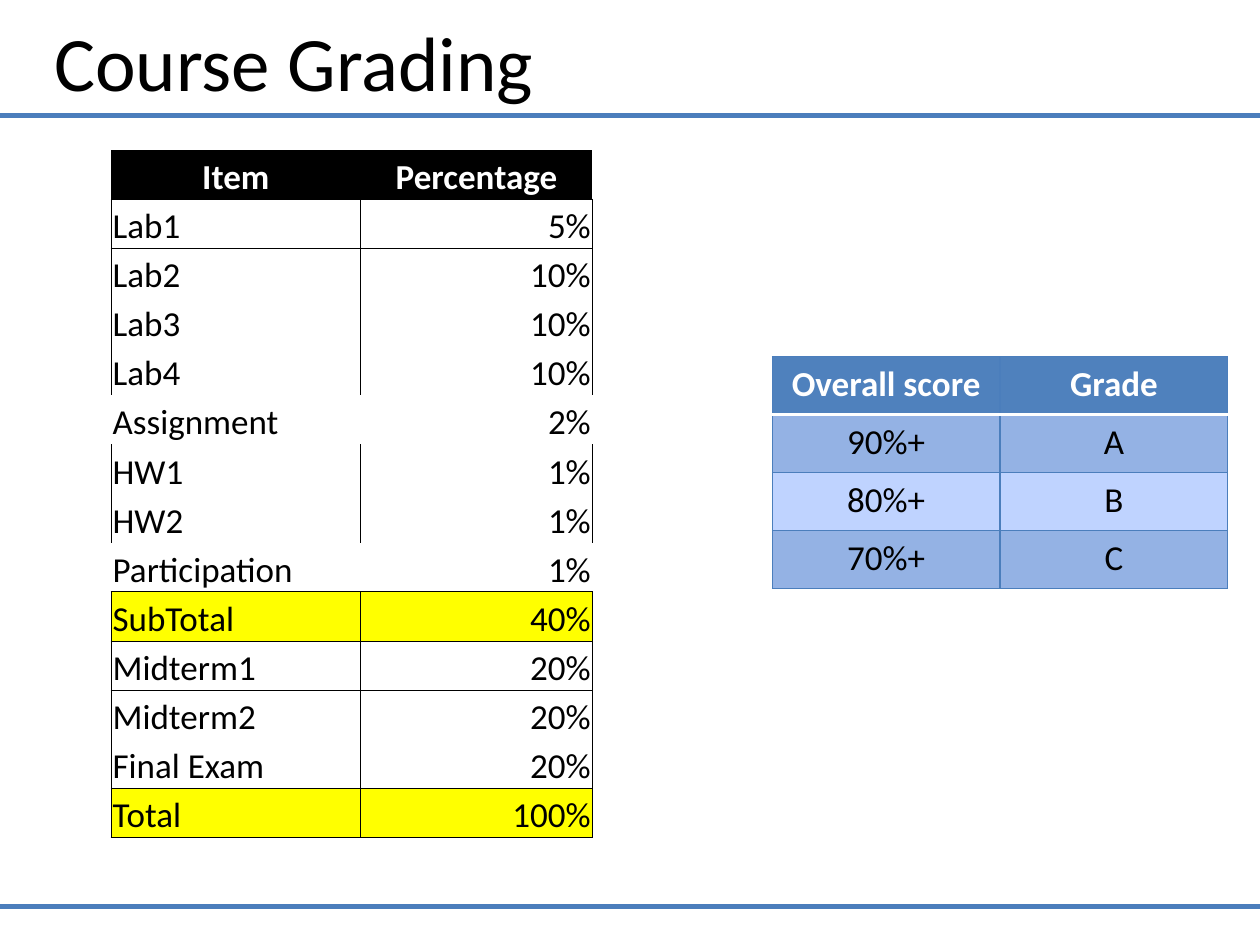
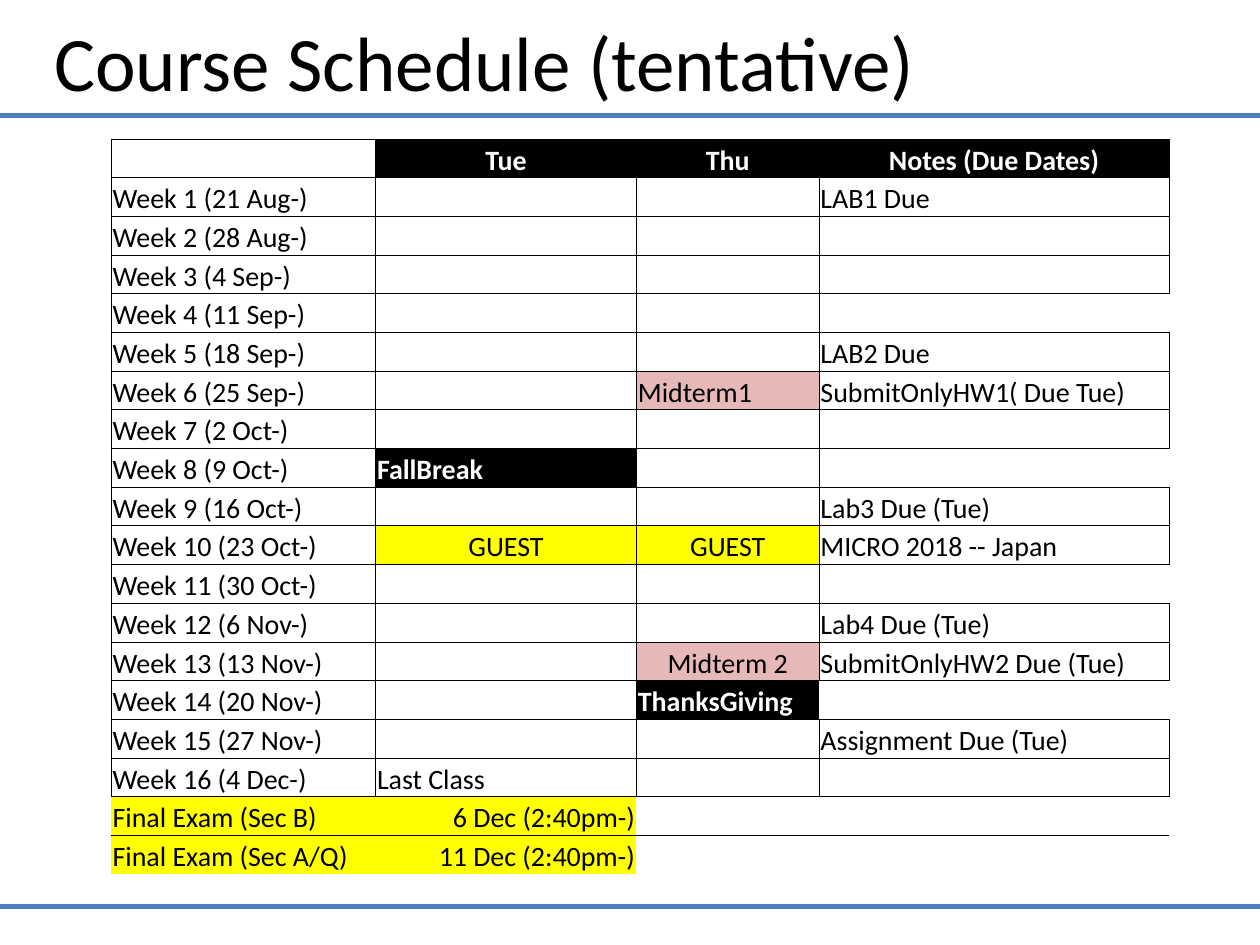
from dataclasses import dataclass

from lxml import etree
from pptx import Presentation
from pptx.dml.color import RGBColor
from pptx.enum.shapes import MSO_CONNECTOR
from pptx.enum.text import MSO_ANCHOR, PP_ALIGN
from pptx.oxml.ns import qn
from pptx.util import Cm, Pt

LEFT, MID, RIGHT = PP_ALIGN.LEFT, PP_ALIGN.CENTER, PP_ALIGN.RIGHT
LOW, CENTRE = MSO_ANCHOR.BOTTOM, MSO_ANCHOR.MIDDLE
STRAIGHT = MSO_CONNECTOR.STRAIGHT
PLAIN = "{2D5ABB26-0587-4C30-8999-92F81FD0307C}"  # table style without grid


@dataclass
class Theme:
    """Colours, font and type sizes of the deck."""
    font: str = "Calibri"
    black: str = "000000"
    white: str = "FFFFFF"
    band: str = "4B7EBC"
    head: str = "4F81BD"
    dark: str = "94B2E4"
    light: str = "BFD3FF"
    mark: str = "FFFF00"
    exam: str = "E6B8B7"
    title: int = 44
    large: int = 20
    small: int = 16


theme = Theme()


def grid(slide, left, top, cols, count, height):
    """Add an unstyled table with even rows, sizes in cm."""
    frame = slide.shapes.add_table(count, len(cols), Cm(left), Cm(top),
                                   Cm(sum(cols)), Cm(count * height))
    table = frame.table
    table.first_row = table.horz_banding = False
    table._tbl.tblPr.find(qn("a:tableStyleId")).text = PLAIN
    for col, width in zip(table.columns, cols):
        col.width = Cm(width)
    for row in table.rows:
        row.height = Cm(height)
    return table


def put(cell, text, size, align=LEFT, fill=None, color=theme.black,
        sides="LRTB", line=(theme.black, 0.5), under=None, tight=True):
    """Write one cell with its text, edges and fill; under sets its own bottom edge."""
    if tight:
        cell.margin_left = cell.margin_right = cell.margin_top = Cm(0.03)
        cell.margin_bottom = 0
        cell.vertical_anchor = LOW
    para = cell.text_frame.paragraphs[0]
    para.text = text
    para.alignment = align
    for run in para.runs:
        run.font.name = theme.font
        run.font.size = Pt(size)
        run.font.bold = color == theme.white
        run.font.color.rgb = RGBColor.from_string(color)
    if not text:
        etree.SubElement(para._p, qn("a:endParaRPr"), sz=str(size * 100))
    props = cell._tc.get_or_add_tcPr()
    for side in sides:
        tint, width = under if under and side == "B" else line
        edge = etree.SubElement(props, qn("a:ln" + side), w=str(Pt(width)))
        solid = etree.SubElement(edge, qn("a:solidFill"))
        etree.SubElement(solid, qn("a:srgbClr"), val=tint)
    if fill:
        cell.fill.solid()
        cell.fill.fore_color.rgb = RGBColor.from_string(fill)


deck = Presentation()
deck.slide_width, deck.slide_height = Cm(25.4), Cm(19.05)

# Shared frame: two bands and a title
slides = []
for name in ("Course Grading", "Course Schedule (tentative)"):
    slide = deck.slides.add_slide(deck.slide_layouts[5])
    for y in (2.33, 18.28):
        band = slide.shapes.add_connector(STRAIGHT, 0, Cm(y), deck.slide_width, Cm(y))
        band.line.color.rgb = RGBColor.from_string(theme.band)
        band.line.width = Pt(3)
        etree.SubElement(band._element.spPr, qn("a:effectLst"))
    title = slide.shapes.title
    title.left, title.top, title.width, title.height = Cm(0.84), 0, Cm(22.43), Cm(2.44)
    title.text_frame.text = name
    title.text_frame.vertical_anchor = CENTRE
    para = title.text_frame.paragraphs[0]
    para.alignment = LEFT
    font = para.runs[0].font
    font.name, font.size = theme.font, Pt(theme.title)
    font.color.rgb = RGBColor.from_string(theme.black)
    slides.append(slide)
grading, plan = slides

# Letter grades
grades = [("Overall score", "Grade"), ("90%+", "A"), ("80%+", "B"), ("70%+", "C")]
fills = [theme.head, theme.dark, theme.light, theme.dark]
table = grid(grading, 15.57, 7.19, [4.59, 4.59], len(grades), 1.17)
for r, row in enumerate(grades):
    top = r == 0
    for c, text in enumerate(row):
        put(table.cell(r, c), text, theme.large, MID, fills[r],
            theme.white if top else theme.black,
            sides="LRB" if r == 1 else "LRTB", line=(theme.band, 0.75),
            under=(theme.white, 2) if top else None, tight=False)

# Weight of each item, with the edges its row shows
items = [
    ("Item", "Percentage", "B"),
    ("Lab1", "5%", "LRT"),
    ("Lab2", "10%", "LR"),
    ("Lab3", "10%", "LR"),
    ("Lab4", "10%", "LR"),
    ("Assignment", "2%", ""),
    ("HW1", "1%", "LR"),
    ("HW2", "1%", "LR"),
    ("Participation", "1%", "B"),
    ("SubTotal", "40%", "LRTB"),
    ("Midterm1", "20%", "LRT"),
    ("Midterm2", "20%", "LR"),
    ("Final Exam", "20%", "LRB"),
    ("Total", "100%", "LRTB"),
]
table = grid(grading, 2.24, 3.02, [5.03, 4.67], len(items), 0.99)
for r, (item, share, sides) in enumerate(items):
    for c, text in enumerate((item, share)):
        cell = table.cell(r, c)
        if r == 0:
            put(cell, text, theme.large, MID, theme.black, theme.white, sides)
        else:
            put(cell, text, theme.large, RIGHT if c else LEFT,
                theme.mark if "Total" in item else None, sides=sides)

# Weekly schedule
weeks = [
    ("", "Tue", "Thu", "Notes (Due Dates)"),
    ("Week 1 (21 Aug-)", "", "", "LAB1 Due"),
    ("Week 2 (28 Aug-)", "", "", ""),
    ("Week 3 (4 Sep-)", "", "", ""),
    ("Week 4 (11 Sep-)", "", "", ""),
    ("Week 5 (18 Sep-)", "", "", "LAB2 Due"),
    ("Week 6 (25 Sep-)", "", "Midterm1", "SubmitOnlyHW1( Due Tue)"),
    ("Week 7 (2 Oct-)", "", "", ""),
    ("Week 8 (9 Oct-)", "FallBreak", "", ""),
    ("Week 9 (16 Oct-)", "", "", "Lab3 Due (Tue)"),
    ("Week 10 (23 Oct-)", "GUEST", "GUEST", "MICRO 2018 -- Japan"),
    ("Week 11 (30 Oct-)", "", "", ""),
    ("Week 12 (6 Nov-)", "", "", "Lab4 Due (Tue)"),
    ("Week 13 (13 Nov-)", "", "Midterm 2", "SubmitOnlyHW2 Due (Tue)"),
    ("Week 14 (20 Nov-)", "", "ThanksGiving", ""),
    ("Week 15 (27 Nov-)", "", "", "Assignment Due (Tue)"),
    ("Week 16 (4 Dec-)", "Last Class", "", ""),
    ("Final Exam (Sec B)", "6 Dec (2:40pm-)", "", ""),
    ("Final Exam (Sec A/Q)", "11 Dec (2:40pm-)", "", ""),
]
# Fill, text colour and alignment of the marked entries
solid = (theme.black, theme.white, LEFT)
marks = {
    "FallBreak": solid,
    "ThanksGiving": solid,
    "GUEST": (theme.mark, theme.black, MID),
    "Midterm1": (theme.exam, theme.black, LEFT),
    "Midterm 2": (theme.exam, theme.black, MID),
}
for text in weeks[0][1:]:
    marks[text] = (theme.black, theme.white, MID)
for row in weeks[-2:]:
    marks[row[0]] = (theme.mark, theme.black, LEFT)
    marks[row[1]] = (theme.mark, theme.black, RIGHT)
last = len(weeks) - 1
table = grid(plan, 2.24, 2.8, [5.33, 5.26, 3.68, 7.06], len(weeks), 0.78)
for r, row in enumerate(weeks):
    for c, text in enumerate(row):
        fill, color, align = marks.get(text, (None, theme.black, LEFT))
        sides = "LRTB"
        if r >= last - 1:
            sides = "" if r == last else "T"
        elif r == 14 and c >= 2:
            sides = "TB"
        elif c == 3 and r in (4, 8, 11):
            sides = "LTB"
        put(table.cell(r, c), text, theme.small, align, fill, color, sides)

deck.save("out.pptx")
